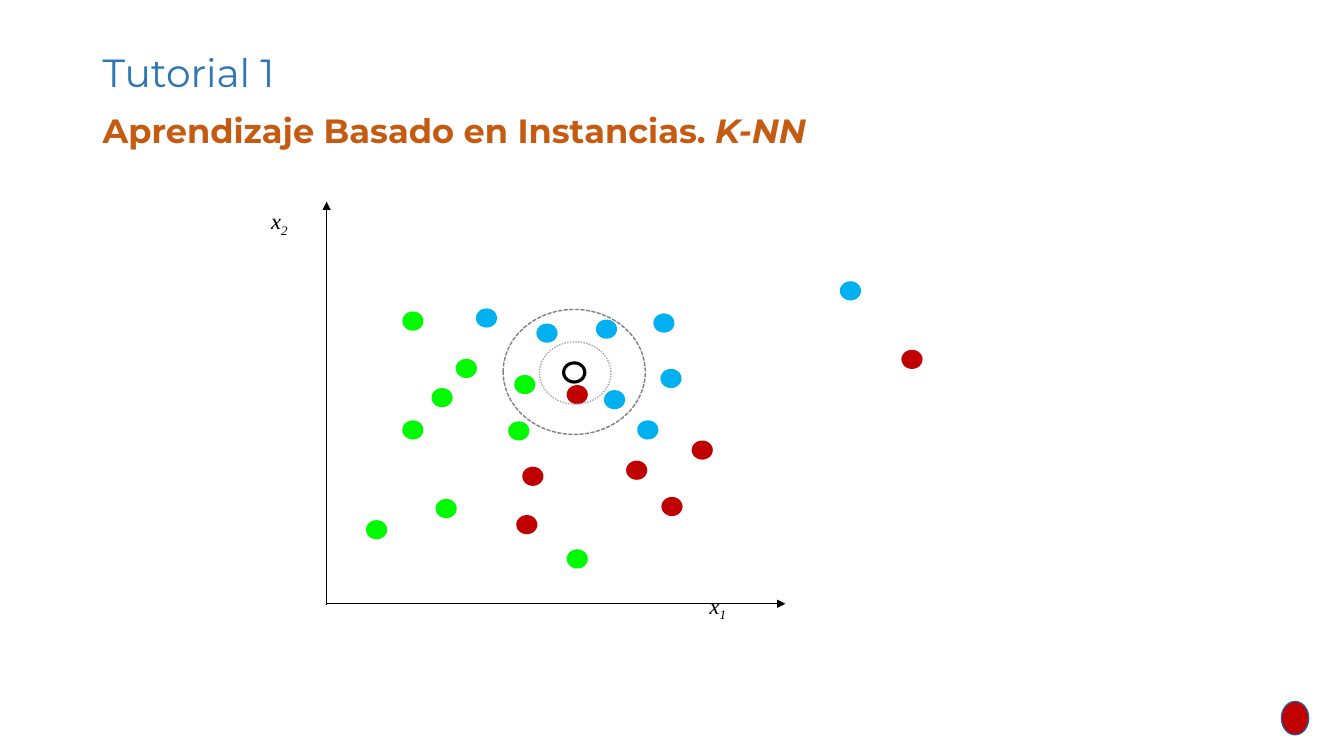
"""Build a slide that explains k-nearest neighbours on a scatter of three classes."""
from dataclasses import dataclass
from typing import Optional

from lxml import etree
from pptx import Presentation
from pptx.dml.color import RGBColor
from pptx.enum.dml import MSO_LINE
from pptx.enum.shapes import MSO_CONNECTOR, MSO_SHAPE
from pptx.enum.text import MSO_ANCHOR
from pptx.oxml.ns import qn
from pptx.slide import Slide
from pptx.util import Emu, Pt

OVAL = MSO_SHAPE.OVAL
STRAIGHT = MSO_CONNECTOR.STRAIGHT
TOP, MIDDLE = MSO_ANCHOR.TOP, MSO_ANCHOR.MIDDLE
SYS_DASH, SYS_DOT = MSO_LINE.SQUARE_DOT, MSO_LINE.ROUND_DOT

EMU_PER_PX = 9144
SLIDE_SIZE = (1333, 750)
DOT_SIZE = (21, 19)


@dataclass(frozen=True)
class Theme:
    """Colours, fonts and type sizes of the slide."""
    title: str = "2E75B6"
    subtitle: str = "C55A11"
    ink: str = "000000"
    green: str = "00FA00"
    red: str = "C00000"
    blue: str = "00B0F0"
    outer_ring: str = "808080"
    inner_ring: str = "A6A6A6"
    badge_line: str = "325491"
    heading_font: str = "Montserrat"
    axis_font: str = "Times New Roman"
    title_size: int = 28
    subtitle_size: int = 24
    axis_size: int = 16


THEME = Theme()


@dataclass(frozen=True)
class Frame:
    """Left, top, width and height in px."""
    left: int
    top: int
    width: int
    height: int

    def emu(self) -> tuple[Emu, ...]:
        """Return the four lengths in EMU."""
        return tuple(px(n) for n in (self.left, self.top, self.width, self.height))


@dataclass(frozen=True)
class Oval:
    """An ellipse with an optional fill and outline."""
    frame: Frame
    fill: Optional[str] = None
    line: Optional[str] = None
    weight: float = 1
    dash: Optional[MSO_LINE] = None


@dataclass(frozen=True)
class Span:
    """A piece of text with its own emphasis."""
    text: str
    italic: bool = False
    subscript: bool = False


@dataclass(frozen=True)
class Axis:
    """An arrow from start to end, with its label."""
    start: tuple[int, int]
    end: tuple[int, int]
    label: Frame
    index: str


DOTS = {
    THEME.green: [(504, 418), (432, 495), (510, 372), (452, 356), (428, 385),
                  (399, 309), (399, 417), (363, 516), (562, 545)],
    THEME.red: [(562, 382), (518, 463), (621, 457), (686, 437), (656, 493),
                (512, 511), (894, 347)],
    THEME.blue: [(599, 387), (655, 366), (632, 417), (591, 317), (532, 321),
                 (648, 311), (472, 306), (833, 279)],
}

OUTLINES = [
    Oval(Frame(559, 360, 21, 19), line=THEME.ink, weight=2.25),
    Oval(Frame(499, 307, 141, 124), line=THEME.outer_ring, dash=SYS_DASH),
    Oval(Frame(535, 339, 71, 62), line=THEME.inner_ring, dash=SYS_DOT),
]

BADGE = Oval(Frame(1271, 696, 27, 33), fill=THEME.red, line=THEME.badge_line)

AXES = [
    Axis((324, 599), (779, 599), Frame(694, 582, 68, 58), "1"),
    Axis((324, 600), (324, 200), Frame(259, 201, 68, 58), "2"),
]


def px(length: int) -> Emu:
    """Turn px into EMU."""
    return Emu(length * EMU_PER_PX)


def rgb(colour: str) -> RGBColor:
    """Turn a hex string into a colour."""
    return RGBColor.from_string(colour)


def add_text(page: Slide, frame: Frame, spans: list[Span], *, font: str, size: int,
             colour: str, bold: bool = False, anchor: MSO_ANCHOR = TOP,
             spacing: float = 1.0) -> None:
    """Write one paragraph of spans in a text box."""
    box = page.shapes.add_textbox(*frame.emu()).text_frame
    box.word_wrap = True
    box.vertical_anchor = anchor
    para = box.paragraphs[0]
    para.line_spacing = spacing
    for span in spans:
        run = para.add_run()
        run.text = span.text
        run.font.name = font
        run.font.size = Pt(size)
        run.font.bold = bold
        run.font.italic = span.italic
        run.font.color.rgb = rgb(colour)
        if span.subscript:
            run.font._element.set("baseline", "-25000")


def add_oval(page: Slide, oval: Oval) -> None:
    """Draw one ellipse."""
    shape = page.shapes.add_shape(OVAL, *oval.frame.emu())
    shape.shadow.inherit = False
    if oval.fill:
        shape.fill.solid()
        shape.fill.fore_color.rgb = rgb(oval.fill)
    else:
        shape.fill.background()
    if oval.line:
        shape.line.color.rgb = rgb(oval.line)
        shape.line.width = Pt(oval.weight)
        if oval.dash:
            shape.line.dash_style = oval.dash
    else:
        shape.line.fill.background()


def add_axis(page: Slide, axis: Axis) -> None:
    """Draw an axis arrow and its label."""
    arrow = page.shapes.add_connector(STRAIGHT, *map(px, axis.start + axis.end))
    arrow.line.color.rgb = rgb(THEME.ink)
    arrow.line.width = Pt(1)
    etree.SubElement(arrow.line._get_or_add_ln(), qn("a:tailEnd"), type="triangle")
    etree.SubElement(arrow._element.spPr, qn("a:effectLst"))
    add_text(page, axis.label,
             [Span("x", italic=True), Span(axis.index, italic=True, subscript=True)],
             font=THEME.axis_font, size=THEME.axis_size, colour=THEME.ink)


def main() -> None:
    """Build the deck and save it."""
    deck = Presentation()
    deck.slide_width, deck.slide_height = map(px, SLIDE_SIZE)
    page = deck.slides.add_slide(deck.slide_layouts[6])
    add_text(page, Frame(92, 40, 1150, 69), [Span("Tutorial 1")],
             font=THEME.heading_font, size=THEME.title_size, colour=THEME.title,
             anchor=MIDDLE, spacing=0.9)
    add_text(page, Frame(92, 109, 1150, 90),
             [Span("Aprendizaje Basado en Instancias. "), Span("K-NN", italic=True)],
             font=THEME.heading_font, size=THEME.subtitle_size, colour=THEME.subtitle,
             bold=True, spacing=0.9)
    for colour, corners in DOTS.items():
        for left, top in corners:
            add_oval(page, Oval(Frame(left, top, *DOT_SIZE), fill=colour))
    for outline in OUTLINES:
        add_oval(page, outline)
    for axis in AXES:
        add_axis(page, axis)
    add_oval(page, BADGE)
    deck.save("out.pptx")


if __name__ == "__main__":
    main()
